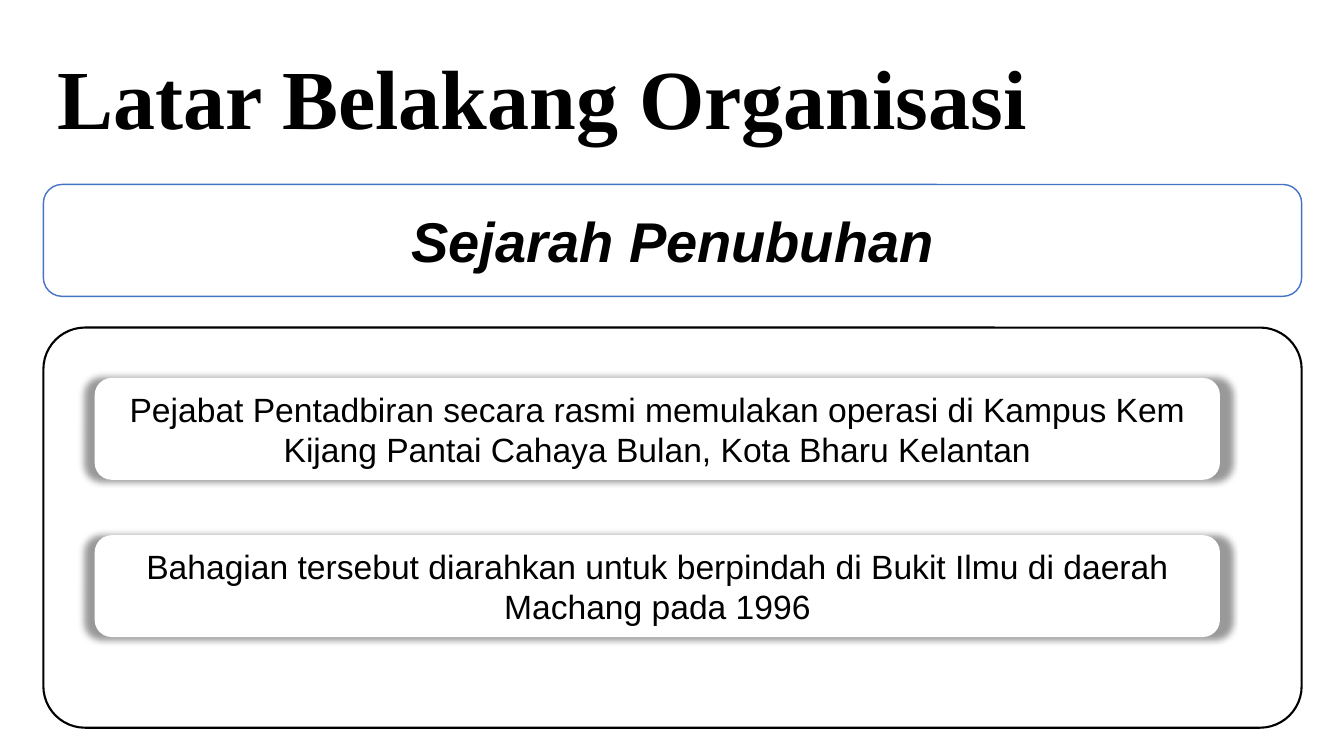
from dataclasses import dataclass
from typing import Optional

from lxml import etree
from pptx import Presentation
from pptx import util as u
from pptx.dml import color
from pptx.enum import shapes, text
from pptx.oxml import ns

WIDTH, HEIGHT = u.Inches(13.33), u.Inches(7.5)
BLACK, WHITE, BLUE = "000000", "FFFFFF", "4472C4"
FULL_LEFT, FULL_WIDTH = 0.0323, 0.9362
CARD_LEFT, CARD_WIDTH, CARD_HEIGHT = 0.0705, 0.8372, 0.1347
CARD_TOP, CARD_STEP = 0.5, 0.208

TITLE_FORMAT = {"name": "Times New Roman", "size": u.Pt(60), "bold": True}
HEADING_FORMAT = {"name": "Arial", "size": u.Pt(40), "bold": True, "italic": True}
CARD_FORMAT = {"name": "Arial", "size": u.Pt(24), "bold": False}

HISTORY = (
    "Pejabat Pentadbiran secara rasmi memulakan operasi di Kampus Kem "
    "Kijang Pantai Cahaya Bulan, Kota Bharu Kelantan",
    "Bahagian tersebut diarahkan untuk berpindah di Bukit Ilmu di daerah "
    "Machang pada 1996",
)


@dataclass(frozen=True)
class Area:
    left: float
    top: float
    width: float
    height: float

    def place(self) -> dict[str, int]:
        return {
            "left": round(self.left * WIDTH),
            "top": round(self.top * HEIGHT),
            "width": round(self.width * WIDTH),
            "height": round(self.height * HEIGHT),
        }


@dataclass(frozen=True)
class Panel:
    area: Area
    words: str = ""
    format: Optional[dict] = None
    fill: Optional[str] = WHITE
    line: Optional[str] = None
    line_width: float = 1
    corner: float = 0.1667
    glow: bool = False


def paint(target, value: str) -> None:
    target.rgb = color.RGBColor.from_string(value)


def write(shape, words: str, values: dict, align, wrap: bool = True) -> None:
    frame = shape.text_frame
    frame.word_wrap = wrap
    frame.auto_size = text.MSO_AUTO_SIZE.NONE
    frame.vertical_anchor = text.MSO_ANCHOR.MIDDLE
    para = frame.paragraphs[0]
    para.alignment = align
    span = para.add_run()
    span.text = words
    for name, value in values.items():
        setattr(span.font, name, value)
    paint(span.font.color, BLACK)


def add_glow(shape) -> None:
    effects = shape._element.spPr.find(ns.qn("a:effectLst"))
    shadow = etree.SubElement(
        effects, ns.qn("a:outerShdw"), blurRad=str(u.Pt(5)),
        sx="102000", sy="102000", algn="ctr", rotWithShape="0",
    )
    tint = etree.SubElement(shadow, ns.qn("a:srgbClr"), val=BLACK)
    etree.SubElement(tint, ns.qn("a:alpha"), val="40000")


def draw_panel(page, panel: Panel) -> None:
    box = page.shapes.add_shape(
        shapes.MSO_SHAPE.ROUNDED_RECTANGLE, **panel.area.place()
    )
    box.adjustments[0] = panel.corner
    box.shadow.inherit = False
    if panel.fill:
        box.fill.solid()
        paint(box.fill.fore_color, panel.fill)
    else:
        box.fill.background()
    if panel.line:
        box.line.width = u.Pt(panel.line_width)
        paint(box.line.color, panel.line)
    else:
        box.line.fill.background()
    if panel.glow:
        add_glow(box)
    if panel.format:
        write(box, panel.words, panel.format, text.PP_ALIGN.CENTER)


def draw_title(page) -> None:
    title = page.shapes.title
    for name, value in Area(0.0353, 0.0533, 0.7434, 0.148).place().items():
        setattr(title, name, value)
    write(title, "Latar Belakang Organisasi", TITLE_FORMAT,
          text.PP_ALIGN.LEFT, wrap=False)


def main() -> None:
    deck = Presentation()
    deck.slide_width, deck.slide_height = WIDTH, HEIGHT
    page = deck.slides.add_slide(deck.slide_layouts.get_by_name("Title Only"))
    draw_title(page)
    panels = [
        Panel(Area(FULL_LEFT, 0.244, FULL_WIDTH, 0.148),
              "Sejarah Penubuhan", HEADING_FORMAT, line=BLUE),
        Panel(Area(FULL_LEFT, 0.4333, FULL_WIDTH, 0.5293),
              fill=None, line=BLACK, line_width=1.5, corner=0.104),
    ]
    panels += [
        Panel(Area(CARD_LEFT, CARD_TOP + row * CARD_STEP, CARD_WIDTH, CARD_HEIGHT),
              words, CARD_FORMAT, glow=True)
        for row, words in enumerate(HISTORY)
    ]
    for panel in panels:
        draw_panel(page, panel)
    deck.save("out.pptx")


if __name__ == "__main__":
    main()
